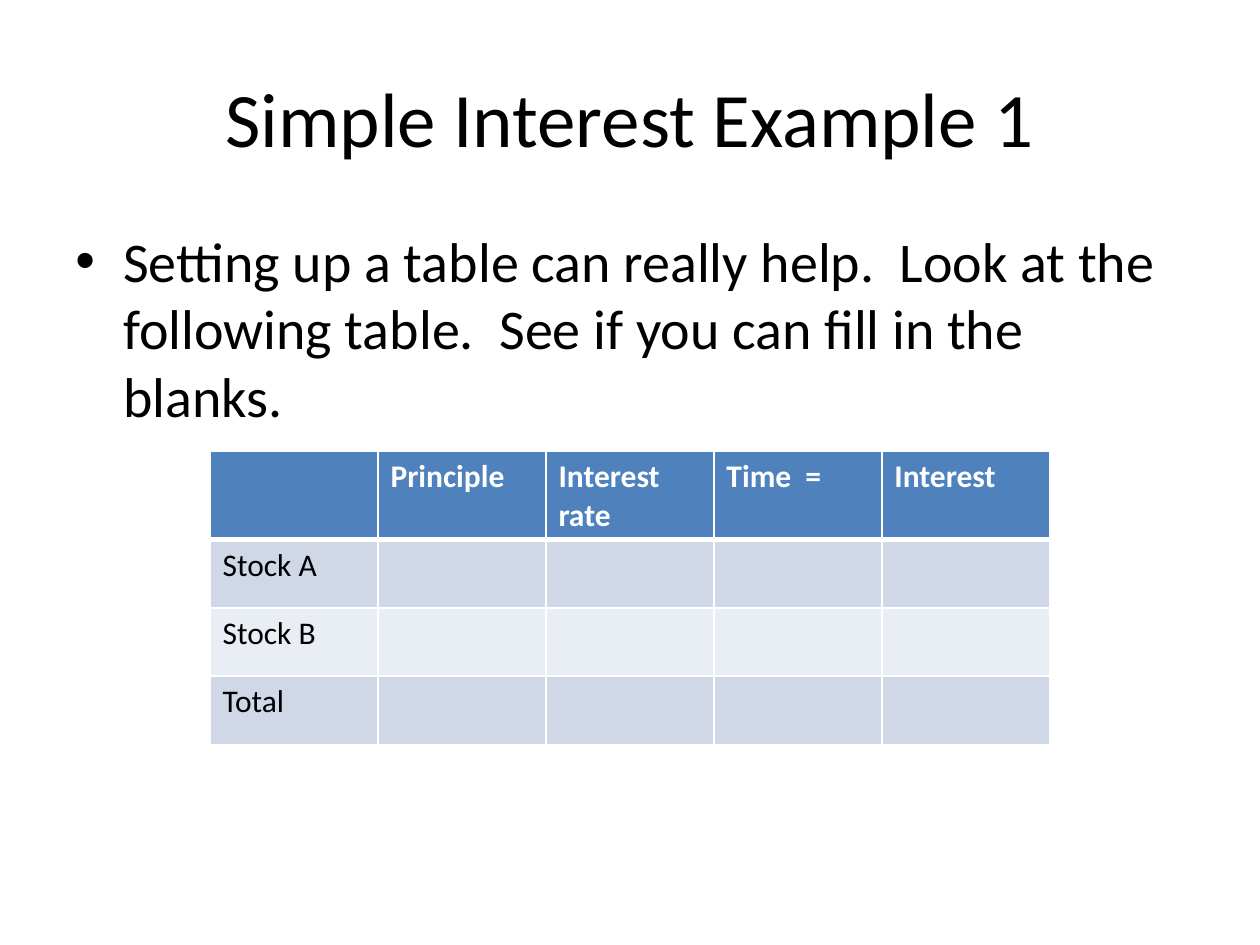
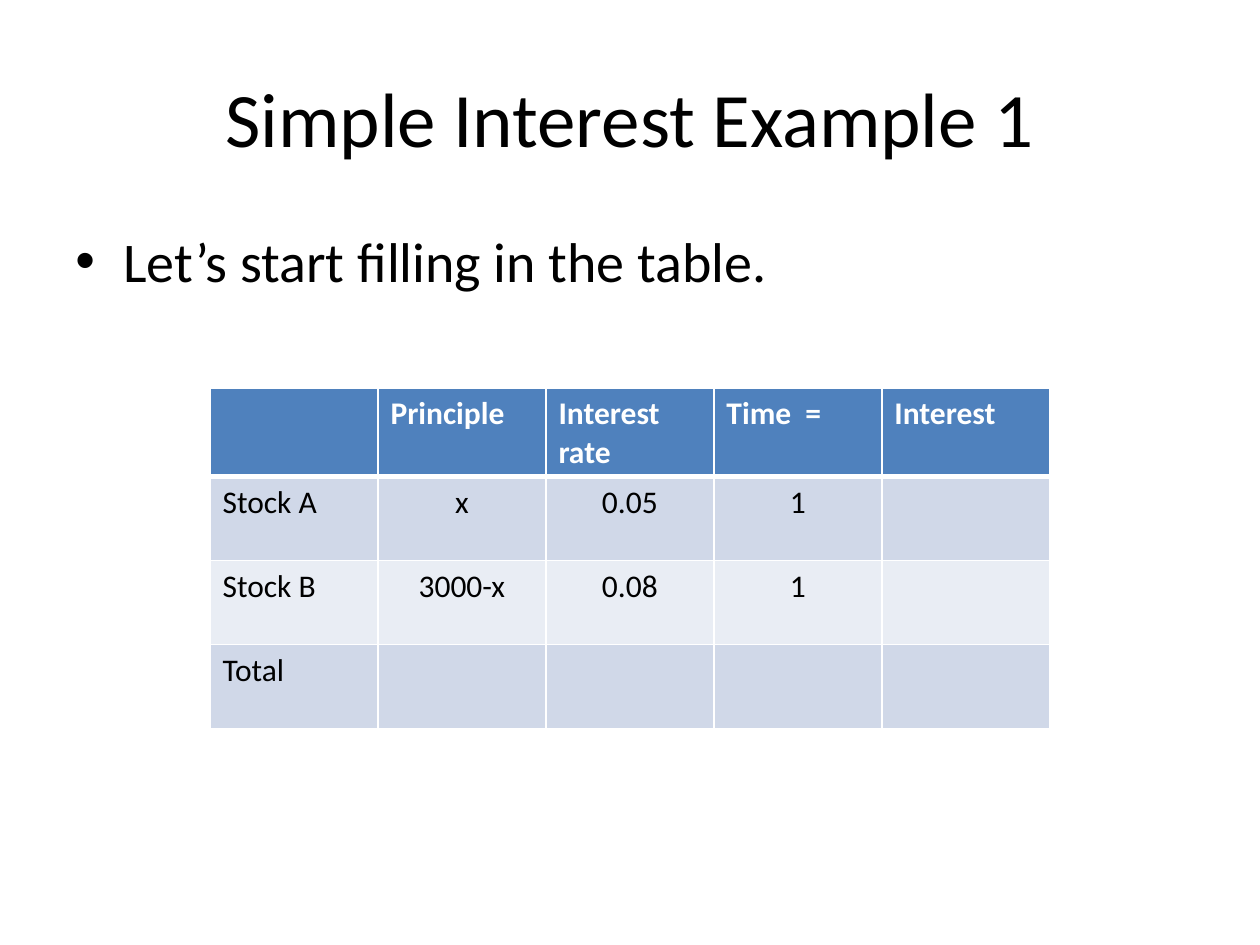
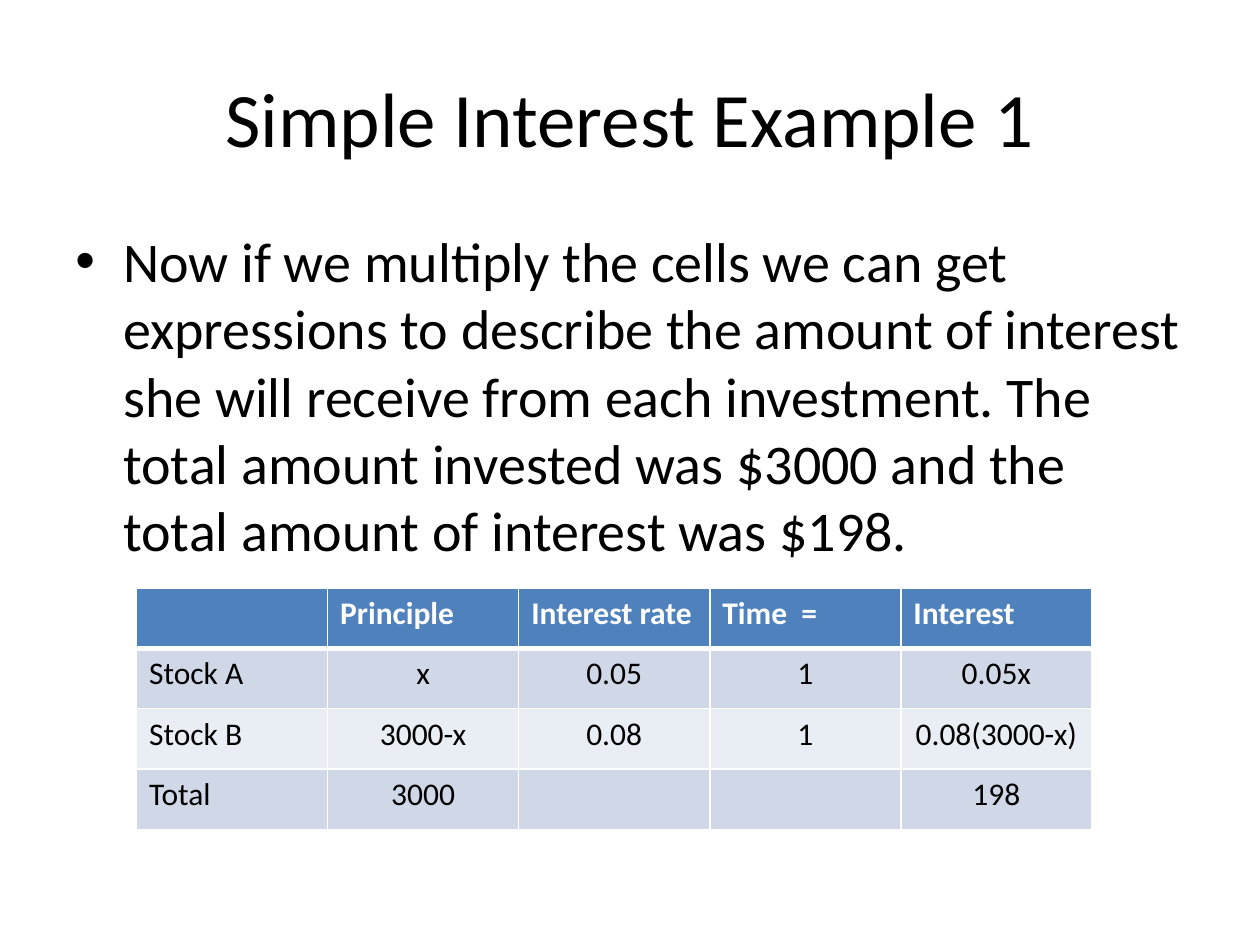
from lxml.etree import SubElement
from pptx import Presentation
from pptx.dml.color import RGBColor
from pptx.enum.text import MSO_ANCHOR, PP_ALIGN
from pptx.oxml.ns import qn
from pptx.util import Inches, Pt

FONT = "Calibri"
BLACK, WHITE, BLUE = "000000", "FFFFFF", "4F81BD"
BANDS = ["D0D8E8", "E9EDF4"]
WIDTH, HEIGHT = Inches(10), Inches(7.5)
COLS, ROWS = 120, 90
TITLE_BOX = (6, 3.6, 108, 15)
BODY_BOX = (6, 21, 108, 59.4)
TITLE = "Simple Interest Example 1"
HEADER = ["", "Principle", "Interest rate", "Time  =", "Interest"]
LABELS = ["Stock A", "Stock B", "Total"]

SLIDES = [
    ("Setting up a table can really help.  Look at the following table.  "
     "See if you can fill in the blanks.",
     (20, 43, 80, 26),
     [[""] * 4] * 3),
    ("Let’s start filling in the table.",
     (20, 37, 80, 32),
     [["x", "0.05", "1", ""],
      ["3000-x", "0.08", "1", ""],
      [""] * 4]),
    ("Now if we multiply the cells we can get expressions to describe the "
     "amount of interest she will receive from each investment. The total "
     "amount invested was $3000 and the total amount of interest was $198.",
     (13, 56, 91, 23),
     [["x", "0.05", "1", "0.05x"],
      ["3000-x", "0.08", "1", "0.08(3000-x)"],
      ["3000", "", "", "198"]]),
]


def rgb(color):
    return RGBColor.from_string(color)


def place(box):
    x, y, w, h = box
    return (round(x * WIDTH / COLS), round(y * HEIGHT / ROWS),
            round(w * WIDTH / COLS), round(h * HEIGHT / ROWS))


def add_run(p, text, size, color=BLACK, bold=False):
    r = p.add_run()
    r.text = text
    r.font.name = FONT
    r.font.size = Pt(size)
    r.font.bold = bold
    r.font.color.rgb = rgb(color)


def add_text_box(s, box):
    tf = s.shapes.add_textbox(*place(box)).text_frame
    tf.word_wrap = True
    return tf


def add_title(s, box):
    tf = add_text_box(s, box)
    tf.vertical_anchor = MSO_ANCHOR.MIDDLE
    p = tf.paragraphs[0]
    p.alignment = PP_ALIGN.CENTER
    add_run(p, TITLE, 44)


def add_bullet(s, box, text):
    p = add_text_box(s, box).paragraphs[0]
    pPr = p._p.get_or_add_pPr()
    pPr.set("marL", str(Inches(0.38)))
    pPr.set("indent", str(-Inches(0.38)))
    SubElement(pPr, qn("a:buFont"), typeface="Arial")
    SubElement(pPr, qn("a:buChar"), char="•")
    add_run(p, text, 32)


def set_borders(cell, top, bottom):
    tcPr = cell._tc.get_or_add_tcPr()
    for side, width in (("L", 1), ("R", 1), ("T", top), ("B", bottom)):
        ln = SubElement(tcPr, qn(f"a:ln{side}"), w=str(Pt(width)))
        fill = SubElement(ln, qn("a:solidFill"))
        SubElement(fill, qn("a:srgbClr"), val=WHITE)


def fill_cell(cell, text, row, col):
    header = row == 0
    set_borders(cell, 3 if row == 1 else 1, 3 if header else 1)
    cell.fill.solid()
    cell.fill.fore_color.rgb = rgb(BLUE if header else BANDS[(row - 1) % 2])
    if text:
        p = cell.text_frame.paragraphs[0]
        if not header and col > 0:
            p.alignment = PP_ALIGN.CENTER
        add_run(p, text, 18, WHITE if header else BLACK, header)


def add_interest_table(s, box, values):
    data = [HEADER] + [[label] + row for label, row in zip(LABELS, values)]
    x, y, w, h = place(box)
    table = s.shapes.add_table(len(data), len(HEADER), x, y, w, h).table
    for column in table.columns:
        column.width = w // len(HEADER)
    for i, row in enumerate(data):
        table.rows[i].height = h // len(data)
        for j, text in enumerate(row):
            fill_cell(table.cell(i, j), text, i, j)


def add_example_slide(prs, text, table_box, values):
    s = prs.slides.add_slide(prs.slide_layouts[6])
    add_title(s, TITLE_BOX)
    add_bullet(s, BODY_BOX, text)
    add_interest_table(s, table_box, values)


def main():
    prs = Presentation()
    prs.slide_width, prs.slide_height = WIDTH, HEIGHT
    for text, table_box, values in SLIDES:
        add_example_slide(prs, text, table_box, values)
    prs.save("out.pptx")


if __name__ == "__main__":
    main()
